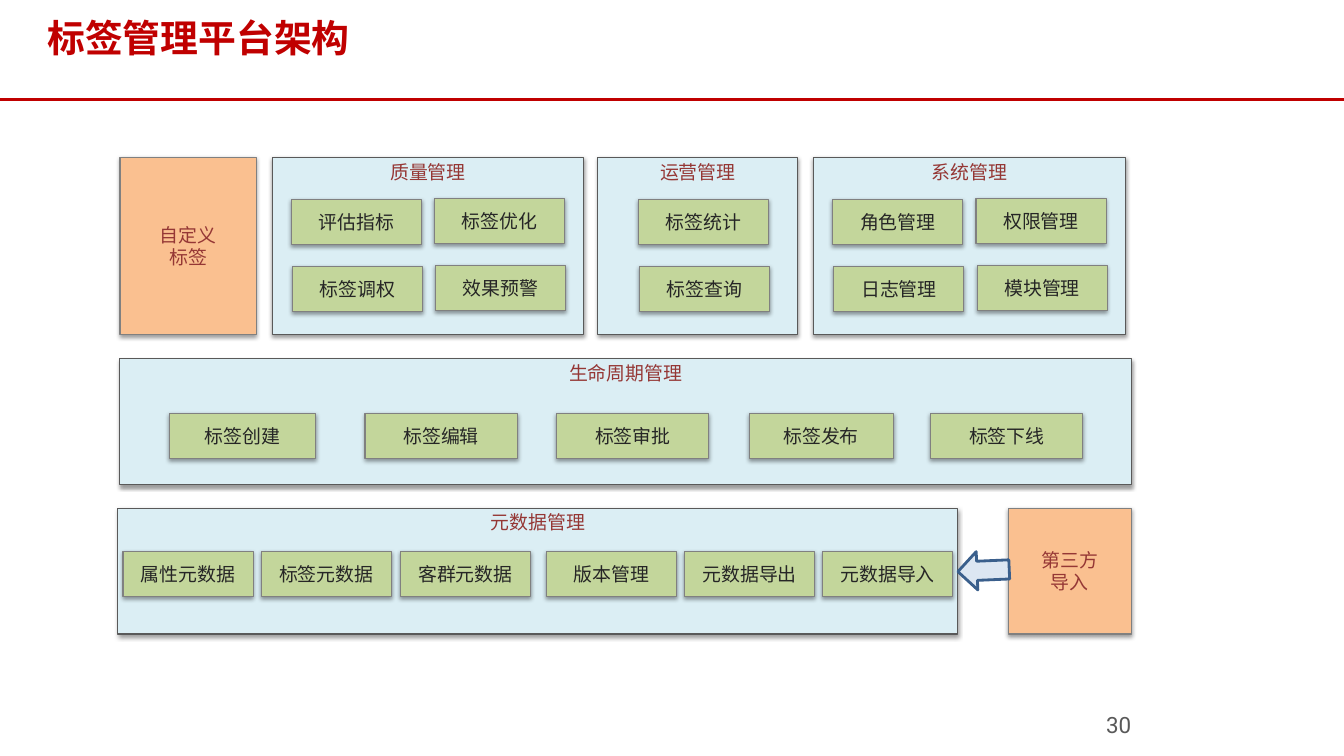
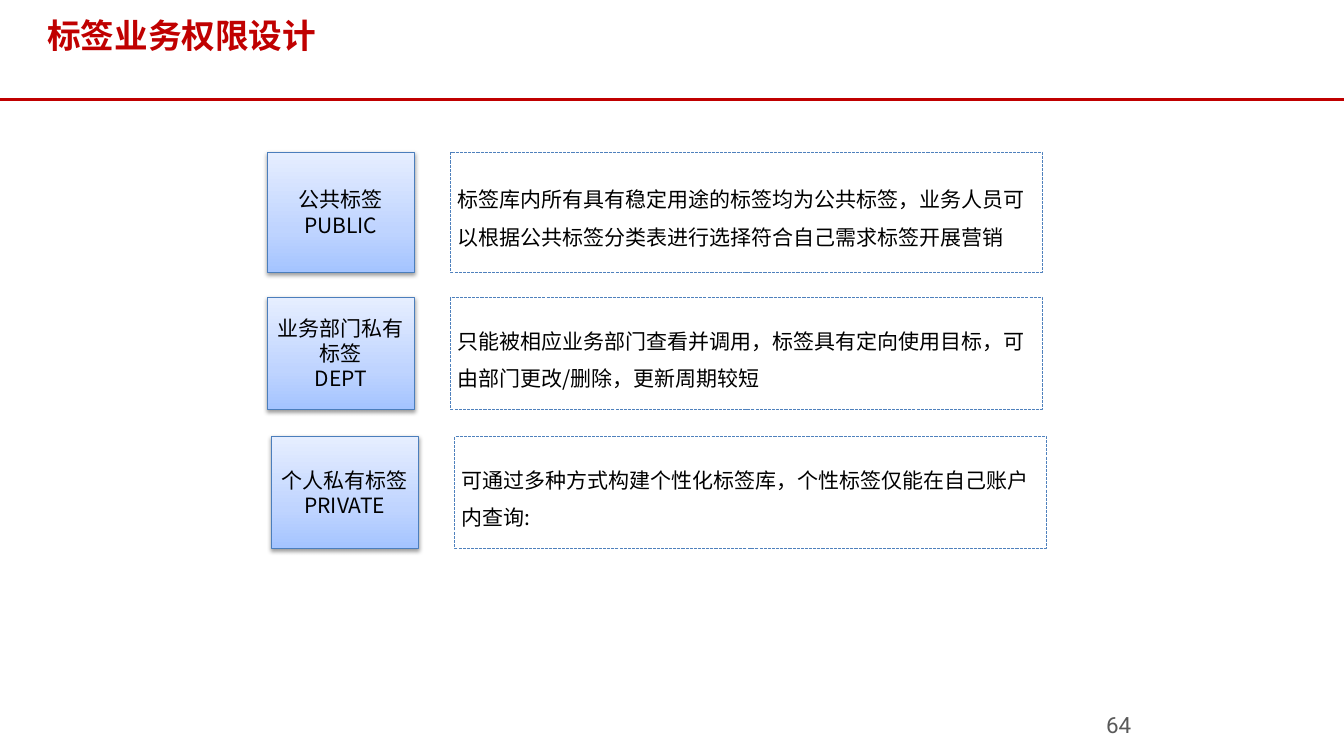
from lxml.etree import SubElement
from pptx import Presentation
from pptx.dml.color import RGBColor
from pptx.enum.dml import MSO_LINE_DASH_STYLE as Dash
from pptx.enum.shapes import MSO_CONNECTOR, MSO_SHAPE
from pptx.enum.text import MSO_ANCHOR as Anchor, PP_ALIGN as Align
from pptx.oxml import parse_xml
from pptx.oxml.ns import nsdecls, qn
from pptx.util import Inches, Pt

WIDTH, HEIGHT = 13.33, 7.5
COLORS = dict(red="C00000", gray="595959", panel="DBEEF4", heading="953735",
              item="C3D69B", item_text="262626", edge="808080", outside="FAC090",
              arrow="DCE6F2", arrow_edge="3A5F8C", black="000000",
              level_edge="4B7EBC", note_edge="4F81BD")
LEVEL_STOPS = [(0, "A4C4FF"), (35, "BFD4FF"), (100, "E6EEFF")]
CJK = "Noto Sans CJK SC"

# Slide 1: heading, left, width, offset of the first item, rows of items
TOP_PANELS = [
    ("质量管理", 2.7, 3.09, 0.19, [["评估指标", "标签优化"], ["标签调权", "效果预警"]]),
    ("运营管理", 5.93, 1.98, 0.4, [["标签统计"], ["标签查询"]]),
    ("系统管理", 8.07, 3.09, 0.19, [["角色管理", "权限管理"], ["日志管理", "模块管理"]]),
]
# heading, panel box, item top, items as (text, left, width)
ITEM = (1.29, 0.45)
WIDE_PANELS = [
    ("生命周期管理", (1.19, 3.56, 10.03, 1.25), 4.1,
     [("标签创建", 1.68, 1.45), ("标签编辑", 3.62, 1.51), ("标签审批", 5.52, 1.51),
      ("标签发布", 7.43, 1.43), ("标签下线", 9.23, 1.51)]),
    ("元数据管理", (1.17, 5.04, 8.33, 1.25), 5.47,
     [(text, left, ITEM[0]) for text, left in
      [("属性元数据", 1.22), ("标签元数据", 2.59), ("客群元数据", 3.97),
       ("版本管理", 5.42), ("元数据导出", 6.79), ("元数据导入", 8.16)]]),
]
OUTSIDE = [(["自定义", "标签"], (1.19, 1.56, 1.35, 1.76)),
           (["第三方", "导入"], (10, 5.04, 1.22, 1.25))]

# Slide 2: label lines, description, left, top, height
LEVELS = [
    (["公共标签", "PUBLIC"],
     "标签库内所有具有稳定用途的标签均为公共标签，业务人员可以根据公共标签分类表进行选择符合自己需求标签开展营销",
     2.65, 1.51, 1.19),
    (["业务部门私有标签", "DEPT"],
     "只能被相应业务部门查看并调用，标签具有定向使用目标，可由部门更改/删除，更新周期较短",
     2.65, 2.95, 1.11),
    (["个人私有标签", "PRIVATE"],
     "可通过多种方式构建个性化标签库，个性标签仅能在自己账户内查询:",
     2.69, 4.33, 1.11),
]
LEVEL_WIDTH, NOTE_OFFSET, NOTE_WIDTH = 1.46, 1.82, 5.87

PANEL = dict(fill="panel", edge="gray", color="heading", anchor=Anchor.TOP)
FUNCTION = dict(fill="item", edge="edge", color="item_text")
SOURCE = dict(fill="outside", edge="edge", color="heading")
LEVEL = dict(edge="level_edge", size=15, inset=(0.07, 0.04))
NOTE = dict(edge="note_edge", size=15, inset=(0.07, 0.04), align=Align.LEFT,
            spacing=1.5, shadow=False)


def rgb(name):
    return RGBColor.from_string(COLORS[name])


def write(shape, lines, size=13.5, face=CJK, color="black", bold=False,
          align=Align.CENTER, anchor=Anchor.MIDDLE, inset=(0.06, 0.03), spacing=None):
    frame = shape.text_frame
    across, down = (Inches(side) for side in inset)
    layout = dict(word_wrap=True, vertical_anchor=anchor, margin_left=across,
                  margin_right=across, margin_top=down, margin_bottom=down)
    for key, value in layout.items():
        setattr(frame, key, value)
    frame.text = "\n".join(lines)
    for paragraph in frame.paragraphs:
        paragraph.alignment = align
        paragraph.line_spacing = spacing
        for run in paragraph.runs:
            for key, value in dict(name=face, size=Pt(size), bold=bold).items():
                setattr(run.font, key, value)
            run.font.color.rgb = rgb(color)
            SubElement(run.font._element, qn("a:ea"), typeface=face)


def cast_shadow(shape):
    shape._element.spPr.append(parse_xml(
        f'<a:effectLst {nsdecls("a")}><a:outerShdw blurRad="{Pt(3.1)}" dist="{Pt(1.6)}" '
        'dir="5400000" rotWithShape="0"><a:srgbClr val="000000"><a:alpha val="38000"/>'
        '</a:srgbClr></a:outerShdw></a:effectLst>'))


def shade(shape):
    """Fill with the vertical gradient, first stop at the bottom."""
    shape.fill.gradient()
    shape.fill.gradient_angle = 90
    stops = shape._element.spPr.find(".//" + qn("a:gsLst"))
    for stop in list(stops):
        stops.remove(stop)
    for position, color in LEVEL_STOPS:
        stop = SubElement(stops, qn("a:gs"), pos=str(position * 1000))
        SubElement(stop, qn("a:srgbClr"), val=color)


def add_box(slide, box, lines=(), fill=None, edge="edge", weight=0.75, shadow=True,
            preset=MSO_SHAPE.RECTANGLE, **text_format):
    shape = slide.shapes.add_shape(preset, *map(Inches, box))
    if fill:
        shape.fill.solid()
        shape.fill.fore_color.rgb = rgb(fill)
    else:
        shape.fill.background()
    shape.line.color.rgb = rgb(edge)
    shape.line.width = Pt(weight)
    if shadow:
        cast_shadow(shape)
    else:
        shape.shadow.inherit = False
    if lines:
        write(shape, lines, **text_format)
    return shape


def start_slide(deck, title, title_size, number):
    slide = deck.slides.add_slide(deck.slide_layouts[6])
    rule = slide.shapes.add_connector(
        MSO_CONNECTOR.STRAIGHT, 0, Inches(0.99), Inches(WIDTH), Inches(0.99))
    rule.line.color.rgb = rgb("red")
    rule.line.width = Pt(2.25)
    SubElement(rule._element.spPr, qn("a:effectLst"))
    page = slide.shapes.add_textbox(*map(Inches, (10.97, 7.1, 0.39, 0.27)))
    write(page, [str(number)], size=16, face="Roboto", color="gray", align=Align.LEFT,
          anchor=Anchor.TOP, inset=(0, 0), spacing=0.85)
    heading = slide.shapes.add_textbox(*map(Inches, (0.37, 0.1, 12.52, 0.73)))
    write(heading, [title], size=title_size, face="Arial", color="red", bold=True,
          align=Align.LEFT, anchor=Anchor.TOP, inset=(0.1, 0.05))
    return slide


def build_architecture(deck):
    slide = start_slide(deck, "标签管理平台架构", 27, 30)
    for heading, left, width, offset, rows in TOP_PANELS:
        add_box(slide, (left, 1.56, width, 1.76), [heading], **PANEL)
        for row, names in enumerate(rows):
            for column, name in enumerate(names):
                x = left + offset + 1.42 * column + 0.01 * row
                y = 1.98 + 0.66 * row - 0.01 * column
                add_box(slide, (x, y, *ITEM), [name], **FUNCTION)
    for heading, box, top, items in WIDE_PANELS:
        add_box(slide, box, [heading], **PANEL)
        for name, left, width in items:
            add_box(slide, (left, top, width, ITEM[1]), [name], **FUNCTION)
    for lines, box in OUTSIDE:
        add_box(slide, box, lines, **SOURCE)
    arrow = add_box(slide, (9.5, 5.47, 0.51, 0.38), fill="arrow", edge="arrow_edge",
                    weight=2, shadow=False, preset=MSO_SHAPE.RIGHT_ARROW)
    arrow.rotation = 177.5


def build_permissions(deck):
    slide = start_slide(deck, "标签业务权限设计", 24, 64)
    for label, description, left, top, height in LEVELS:
        shade(add_box(slide, (left, top, LEVEL_WIDTH, height), label, **LEVEL))
        note = add_box(slide, (left + NOTE_OFFSET, top, NOTE_WIDTH, height),
                       [description], **NOTE)
        note.line.dash_style = Dash.SQUARE_DOT


def main():
    deck = Presentation()
    deck.slide_width, deck.slide_height = Inches(WIDTH), Inches(HEIGHT)
    build_architecture(deck)
    build_permissions(deck)
    deck.save("out.pptx")


if __name__ == "__main__":
    main()
